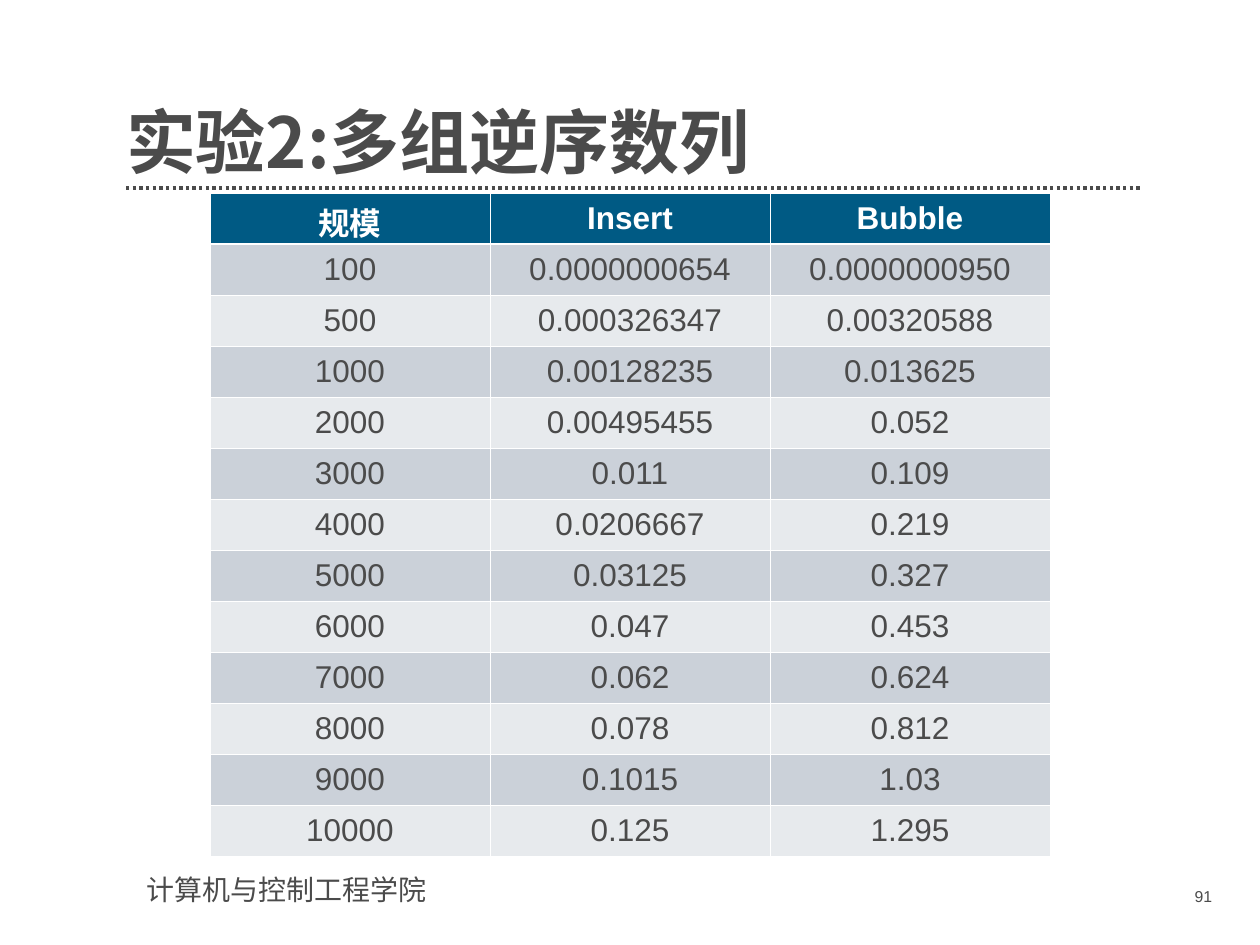
from lxml import etree
from pptx import Presentation
from pptx.dml.color import RGBColor
from pptx.enum.dml import MSO_LINE
from pptx.enum.shapes import MSO_CONNECTOR
from pptx.enum.text import MSO_ANCHOR, PP_ALIGN
from pptx.oxml.ns import qn
from pptx.util import Emu, Pt

STRAIGHT = MSO_CONNECTOR.STRAIGHT
ROUND_DOT = MSO_LINE.ROUND_DOT
TOP, MIDDLE, BOTTOM = MSO_ANCHOR.TOP, MSO_ANCHOR.MIDDLE, MSO_ANCHOR.BOTTOM
LEFT, CENTER, RIGHT = PP_ALIGN.LEFT, PP_ALIGN.CENTER, PP_ALIGN.RIGHT

PX_PER_INCH = 126
LATIN_FONT, CJK_FONT = "Arial", "Noto Sans CJK SC"
GREY, WHITE, HEADER_BLUE = "4B4B4B", "FFFFFF", "005A84"
BANDS = ("E7EAED", "CBD1D9")
THIN, THICK = 0.45, 1.47

RESULTS = (
    ("规模", "Insert", "Bubble"),
    ("100", "0.0000000654", "0.0000000950"),
    ("500", "0.000326347", "0.00320588"),
    ("1000", "0.00128235", "0.013625"),
    ("2000", "0.00495455", "0.052"),
    ("3000", "0.011", "0.109"),
    ("4000", "0.0206667", "0.219"),
    ("5000", "0.03125", "0.327"),
    ("6000", "0.047", "0.453"),
    ("7000", "0.062", "0.624"),
    ("8000", "0.078", "0.812"),
    ("9000", "0.1015", "1.03"),
    ("10000", "0.125", "1.295"),
)


def px(length):
    """Turn pixels into EMU."""
    return Emu(round(length * 914400 / PX_PER_INCH))


def color(value):
    """Turn a hex string into a colour."""
    return RGBColor.from_string(value)


def apply_format(target, values):
    """Set every attribute named in a dict of format values."""
    for name, value in values.items():
        setattr(target, name, value)


def write_text(paragraph, text, size, fill, bold=False, font=LATIN_FONT, **layout):
    """Write one formatted run into a paragraph."""
    apply_format(paragraph, layout)
    run = paragraph.add_run()
    run.text = text
    apply_format(run.font, {"name": font, "size": Pt(size), "bold": bold})
    run.font.color.rgb = color(fill)
    east_asian = etree.SubElement(run.font._element, qn("a:ea"))
    east_asian.set("typeface", CJK_FONT)


def add_text(slide, box, text, size, inset=(13, 6), anchor=TOP, **style):
    """Add a text box holding one paragraph."""
    frame = slide.shapes.add_textbox(*map(px, box)).text_frame
    horizontal, vertical = map(px, inset)
    apply_format(frame, {
        "word_wrap": True, "vertical_anchor": anchor,
        "margin_left": horizontal, "margin_right": horizontal,
        "margin_top": vertical, "margin_bottom": vertical,
    })
    write_text(frame.paragraphs[0], text, size, GREY, **style)


def add_title(slide, box):
    """Add the title and the dotted rule below it."""
    left, top, width, height = box
    add_text(slide, box, "实验2:多组逆序数列", 40, (0, 0), BOTTOM,
             bold=True, font=CJK_FONT, line_spacing=0.9)
    rule_y = top + height + 4
    rule = slide.shapes.add_connector(
        STRAIGHT, px(left), px(rule_y), px(left + width), px(rule_y))
    apply_format(rule.line, {"width": Pt(1.9), "dash_style": ROUND_DOT})
    rule.line.color.rgb = color(GREY)
    etree.SubElement(rule._element.spPr, qn("a:effectLst"))


def set_borders(cell, widths):
    """Draw white borders, given point widths for left, right, top and bottom."""
    properties = cell._tc.get_or_add_tcPr()
    for index, (side, width) in enumerate(zip("LRTB", widths)):
        line = etree.Element(qn(f"a:ln{side}"), w=str(Pt(width)))
        fill = etree.SubElement(line, qn("a:solidFill"))
        etree.SubElement(fill, qn("a:srgbClr"), val=WHITE)
        properties.insert(index, line)


def add_results(slide, box):
    """Add the table of running times."""
    row_count, column_count = len(RESULTS), len(RESULTS[0])
    table = slide.shapes.add_table(row_count, column_count, *map(px, box)).table
    for column in table.columns:
        column.width = px(box[2] // column_count)
    for row_index, values in enumerate(RESULTS):
        table.rows[row_index].height = px(box[3] // row_count)
        header = row_index == 0
        fill = HEADER_BLUE if header else BANDS[row_index % 2]
        borders = (THIN, THIN, THICK if row_index == 1 else THIN,
                   THICK if header else THIN)
        for column_index, value in enumerate(values):
            cell = table.cell(row_index, column_index)
            cell.vertical_anchor = MIDDLE
            cell.fill.solid()
            cell.fill.fore_color.rgb = color(fill)
            set_borders(cell, borders)
            write_text(cell.text_frame.paragraphs[0], value, 18,
                       WHITE if header else GREY, header, alignment=CENTER)


def add_footer(slide, box):
    """Add the school name at the left and the page number at the right."""
    left, top, width, height = box
    number_width = 125
    add_text(slide, (left, top, 323, height), "计算机与控制工程学院", 16, alignment=LEFT)
    add_text(slide, (left + width - number_width, top + 14, number_width, 36),
             "91", 9, alignment=RIGHT)


def main():
    """Build and save the slide."""
    presentation = Presentation()
    apply_format(presentation, {"slide_width": px(1260), "slide_height": px(945)})
    slide = presentation.slides.add_slide(presentation.slide_layouts[6])
    add_title(slide, (126, 69, 1016, 115))
    add_results(slide, (210, 193, 840, 663))
    add_footer(slide, (134, 867, 1091, 47))
    presentation.save("out.pptx")


if __name__ == "__main__":
    main()
